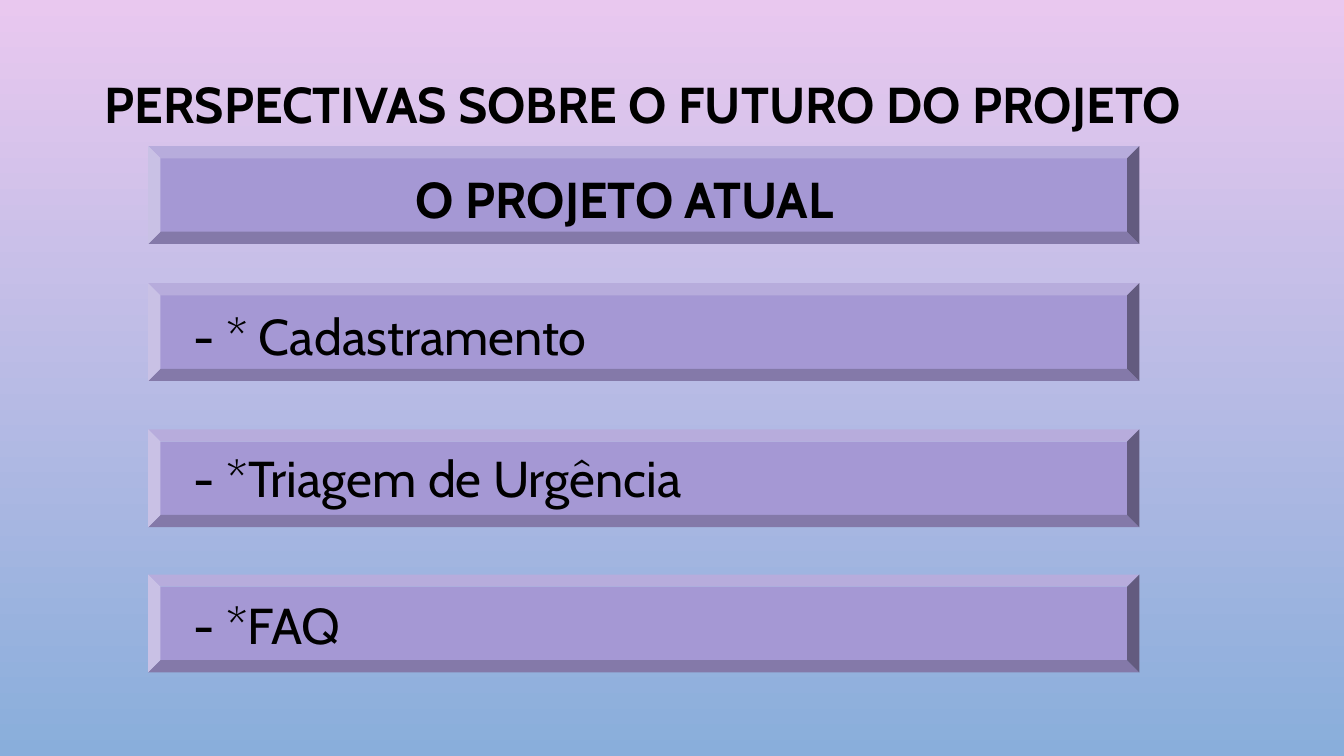
from pptx import Presentation
from pptx.dml.color import RGBColor
from pptx.enum.shapes import MSO_SHAPE
from pptx.enum.text import MSO_ANCHOR, PP_ALIGN
from pptx.util import Inches, Pt

COLORS = {"top": "E9C8EF", "bottom": "89AEDB", "bar": "A598D4", "text": "000000"}
FONT = "Cabin"
BAR_LEFT, BAR_W, BAR_H = 1.47, 9.83, 0.97
ITEMS = [
    ("- * Cadastramento", 2.81, 0.17),
    ("- *Triagem de Urgência", 4.26, 0.13),
    ("- *FAQ", 5.7, 0.14),
]


def rgb(name):
    """Return the palette colour called name."""
    return RGBColor.from_string(COLORS[name])


def write(sp, text, size=36, bold=False, align=PP_ALIGN.LEFT,
          anchor=MSO_ANCHOR.TOP, spacing=1.0):
    """Write one formatted paragraph into a shape."""
    tf = sp.text_frame
    tf.word_wrap = True
    tf.vertical_anchor = anchor
    p = tf.paragraphs[0]
    p.alignment = align
    p.line_spacing = spacing
    r = p.add_run()
    r.text = text
    r.font.name = FONT
    r.font.size = Pt(size)
    r.font.bold = bold
    r.font.color.rgb = rgb("text")


def write_heading(sp, text):
    """Write a bold centred heading."""
    write(sp, text, bold=True, align=PP_ALIGN.CENTER,
          anchor=MSO_ANCHOR.MIDDLE, spacing=0.9)


def add_background(s):
    """Fill the slide with a vertical gradient."""
    fill = s.background.fill
    fill.gradient()
    fill.gradient_angle = 270
    for stop, name, position in zip(fill.gradient_stops, ("top", "bottom"), (0, 1)):
        stop.color.rgb = rgb(name)
        stop.position = position


def add_title(s, left, top, width, height):
    """Place the slide title in the given box."""
    sp = s.shapes.title
    sp.left, sp.top = Inches(left), Inches(top)
    sp.width, sp.height = Inches(width), Inches(height)
    write_heading(sp, "PERSPECTIVAS SOBRE O FUTURO DO PROJETO")


def add_bar(s, left, top, width, height):
    """Draw a bevelled bar."""
    sp = s.shapes.add_shape(MSO_SHAPE.BEVEL, Inches(left), Inches(top),
                            Inches(width), Inches(height))
    sp.shadow.inherit = False
    sp.fill.solid()
    sp.fill.fore_color.rgb = rgb("bar")
    sp.line.fill.background()


def add_heading_bar(s, left, top, width, height):
    """Draw the bar with the section heading."""
    add_bar(s, left, top, width, height)
    sp = s.shapes.add_textbox(Inches(left - 0.94), Inches(top),
                              Inches(width + 1.5), Inches(height + 0.14))
    write_heading(sp, "O PROJETO ATUAL")


def add_item_bar(s, text, left, top, width, height, drop):
    """Draw a bar with its item text, drop inches below the bar's top."""
    add_bar(s, left, top, width, height)
    sp = s.shapes.add_textbox(Inches(left + 0.35), Inches(top + drop),
                              Inches(6.64), Inches(0.71))
    write(sp, text)


def main():
    """Build and save the slide."""
    prs = Presentation()
    prs.slide_width, prs.slide_height = Inches(13.33), Inches(7.5)
    s = prs.slides.add_slide(prs.slide_layouts[5])
    add_background(s)
    add_title(s, 0.71, 0.19, 11.33, 1.75)
    add_heading_bar(s, BAR_LEFT, 1.45, BAR_W, BAR_H)
    for text, top, drop in ITEMS:
        add_item_bar(s, text, BAR_LEFT, top, BAR_W, BAR_H, drop)
    prs.save("out.pptx")


if __name__ == "__main__":
    main()
